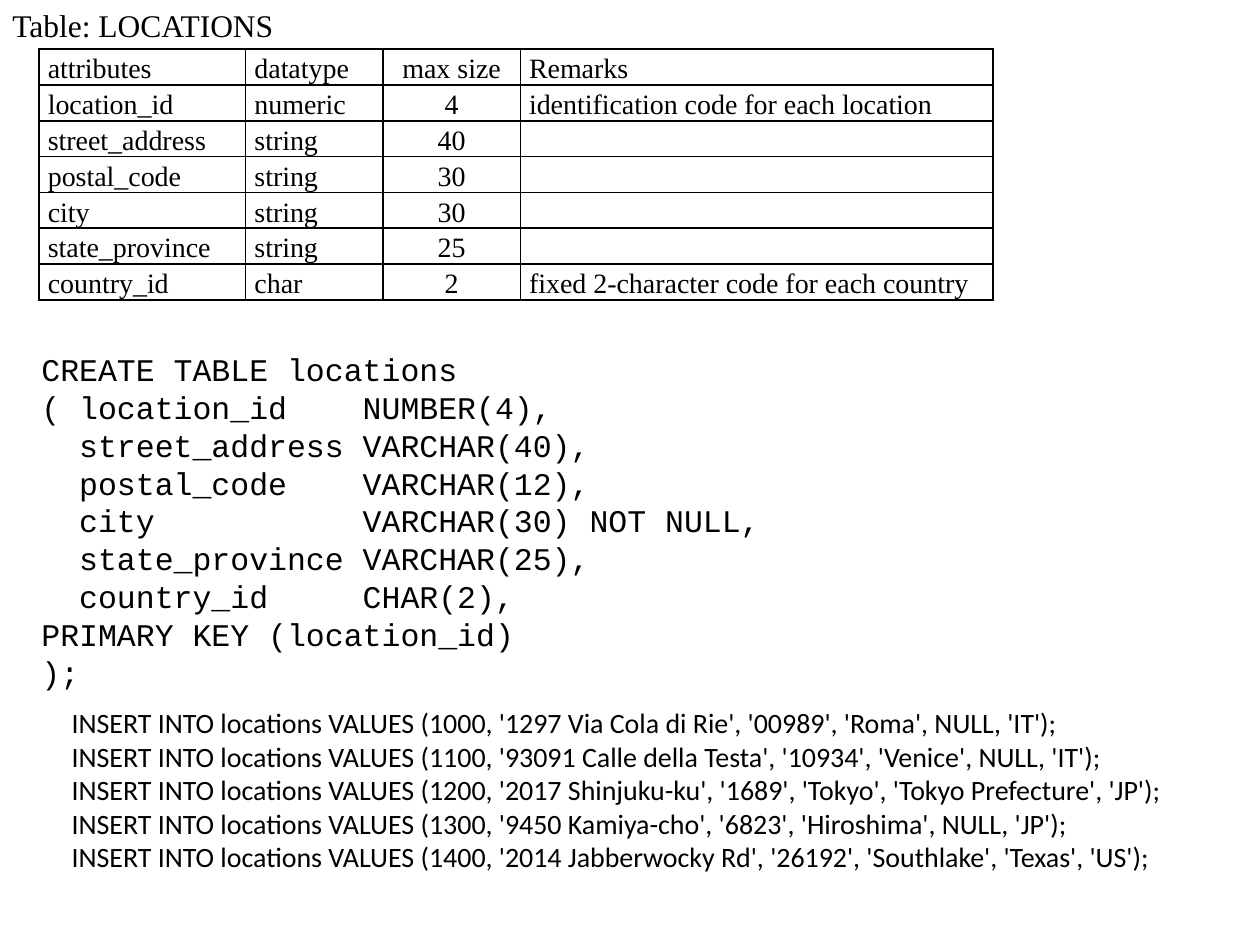
from lxml import etree
from pptx import Presentation
from pptx import util as u
from pptx.dml.color import RGBColor
from pptx.enum import text
from pptx.oxml.ns import qn

W, H = 10, 7.5
COLORS = {"ink": "000000"}
SERIF, MONO, SANS = "Times New Roman", "Courier New", "Calibri"
COLUMNS = [1.64, 1.09, 1.09, 3.75]
ROW_HEIGHT = 0.28
SIZE_COLUMN = 2

ATTRIBUTES = [
    ("attributes", "datatype", "max size", "Remarks"),
    ("location_id", "numeric", "4", "identification code for each location"),
    ("street_address", "string", "40", ""),
    ("postal_code", "string", "30", ""),
    ("city", "string", "30", ""),
    ("state_province", "string", "25", ""),
    ("country_id", "char", "2", "fixed 2-character code for each country"),
]

CREATE = """CREATE TABLE locations
( location_id    NUMBER(4),
  street_address VARCHAR(40),
  postal_code    VARCHAR(12),
  city           VARCHAR(30) NOT NULL,
  state_province VARCHAR(25),
  country_id     CHAR(2),
PRIMARY KEY (location_id)
);"""

RECORDS = [
    "1000, '1297 Via Cola di Rie', '00989', 'Roma', NULL, 'IT'",
    "1100, '93091 Calle della Testa', '10934', 'Venice', NULL, 'IT'",
    "1200, '2017 Shinjuku-ku', '1689', 'Tokyo', 'Tokyo Prefecture', 'JP'",
    "1300, '9450 Kamiya-cho', '6823', 'Hiroshima', NULL, 'JP'",
    "1400, '2014 Jabberwocky Rd', '26192', 'Southlake', 'Texas', 'US'",
]


def apply(obj, values):
    for name, value in values.items():
        setattr(obj, name, value)


def write(p, line, font, size):
    r = p.add_run()
    r.text = line
    apply(r.font, {"name": font, "size": u.Pt(size)})
    r.font.color.rgb = RGBColor.from_string(COLORS["ink"])


def add_lines(s, box, lines, font, size, anchor=text.MSO_ANCHOR.TOP):
    x, y, w, h = box
    sp = s.shapes.add_textbox(u.Inches(x * W), u.Inches(y * H),
                              u.Inches(w * W), u.Inches(h * H))
    tf = sp.text_frame
    apply(tf, {"word_wrap": True, "vertical_anchor": anchor,
               "auto_size": text.MSO_AUTO_SIZE.SHAPE_TO_FIT_TEXT})
    for i, line in enumerate(lines):
        p = tf.add_paragraph() if i else tf.paragraphs[0]
        write(p, line, font, size)


def add_borders(cell):
    pr = cell._tc.get_or_add_tcPr()
    for i, side in enumerate(("lnL", "lnR", "lnT", "lnB")):
        ln = etree.Element(qn("a:" + side), w=str(u.Pt(1)))
        fill = etree.SubElement(ln, qn("a:solidFill"))
        etree.SubElement(fill, qn("a:srgbClr"), val=COLORS["ink"])
        pr.insert(i, ln)


def fill_cell(cell, value, align):
    cell.fill.background()
    add_borders(cell)
    apply(cell, {"margin_left": u.Inches(0.07), "margin_right": u.Inches(0.07),
                 "margin_top": 0, "margin_bottom": 0})
    p = cell.text_frame.paragraphs[0]
    apply(p, {"line_spacing": 1.15, "alignment": align})
    if value:
        write(p, value, SERIF, 16)
    else:
        etree.SubElement(p._p, qn("a:endParaRPr"), sz="1600")


def add_attribute_table(s, x, y):
    table = s.shapes.add_table(
        len(ATTRIBUTES), len(COLUMNS), u.Inches(x * W), u.Inches(y * H),
        u.Inches(sum(COLUMNS)), u.Inches(ROW_HEIGHT * len(ATTRIBUTES))).table
    apply(table, {"first_row": False, "horz_banding": False})
    for column, width in zip(table.columns, COLUMNS):
        column.width = u.Inches(width)
    for i, row in enumerate(ATTRIBUTES):
        table.rows[i].height = u.Inches(ROW_HEIGHT)
        for j, value in enumerate(row):
            align = text.PP_ALIGN.CENTER if j == SIZE_COLUMN else text.PP_ALIGN.LEFT
            fill_cell(table.cell(i, j), value, align)


def main():
    prs = Presentation()
    apply(prs, {"slide_width": u.Inches(W), "slide_height": u.Inches(H)})
    s = prs.slides.add_slide(prs.slide_layouts[6])
    add_attribute_table(s, 0.031, 0.052)
    add_lines(s, (0, 0, 0.312, 0.053), ["Table: LOCATIONS"], SERIF, 18,
              text.MSO_ANCHOR.MIDDLE)
    add_lines(s, (0.023, 0.364, 0.602, 0.377), CREATE.splitlines(), MONO, 18)
    inserts = [f"INSERT INTO locations VALUES ({record});" for record in RECORDS]
    add_lines(s, (0.047, 0.74, 0.93, 0.193), inserts, SANS, 16)
    prs.save("out.pptx")


if __name__ == "__main__":
    main()
